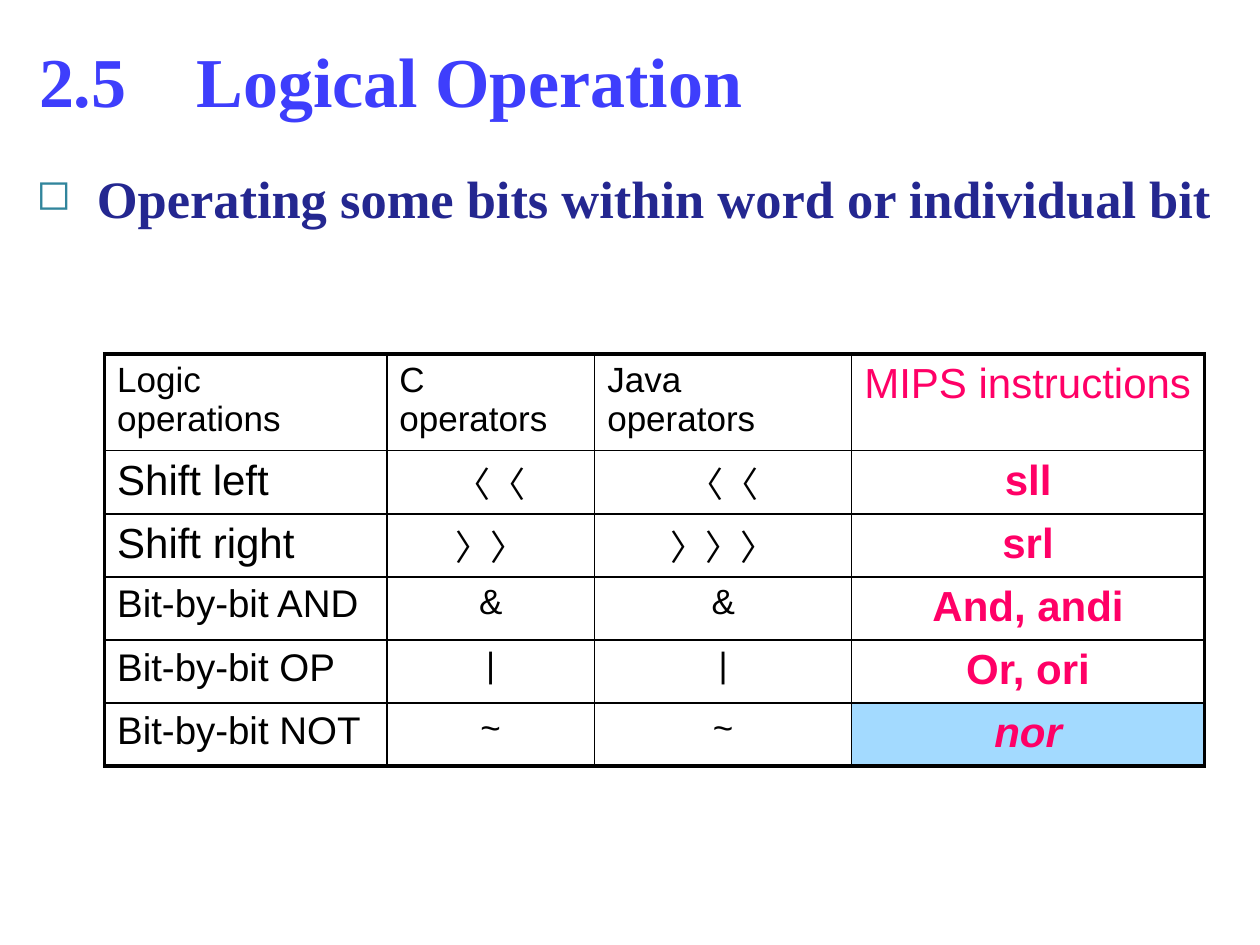
"""Build a slide comparing logical operators in C, Java and MIPS."""
from typing import NamedTuple

from lxml import etree
from pptx import Presentation
from pptx import util as u
from pptx.dml.color import RGBColor
from pptx.enum import text
from pptx.oxml import ns

COLORS = {
    "title": "3E3EFC", "statement": "242790", "bullet": "31859C",
    "ink": "000000", "mips": "FF0066", "highlight": "A3DAFF",
}
COLUMN_WIDTHS = (2.24, 1.65, 2.04, 2.8)
ROW_HEIGHTS = (0.72, 0.5, 0.5, 0.47, 0.5, 0.47)
THIN, THICK = 1, 2.25


class Operation(NamedTuple):
    """One row of the operator table."""
    label: str
    c: str
    java: str
    mips: str
    label_size: int = 22
    highlighted: bool = False


HEADINGS = Operation("Logic operations", "C operators", "Java operators",
                     "MIPS instructions", 20)
OPERATIONS = (
    Operation("Shift left", "〈〈", "〈〈", "sll", 24),
    Operation("Shift right", "〉〉", "〉〉〉", "srl", 24),
    Operation("Bit-by-bit AND", "&", "&", "And, andi"),
    Operation("Bit-by-bit OP", "|", "|", "Or, ori"),
    Operation("Bit-by-bit NOT", "~", "~", "nor", highlighted=True),
)


def add_xml(parent, tag: str, **attributes):
    """Append a DrawingML element and return it."""
    return etree.SubElement(parent, ns.qn(f"a:{tag}"), attributes)


def write(frame, words: str, color: str, align=text.PP_ALIGN.LEFT, **formats):
    """Write one formatted paragraph and return it."""
    paragraph = frame.paragraphs[0]
    paragraph.alignment = align
    run = paragraph.add_run()
    run.text = words
    run.font.color.rgb = RGBColor.from_string(COLORS[color])
    for attribute, value in formats.items():
        setattr(run.font, attribute, value)
    return paragraph


def place(shape, left: float, top: float, width: float, height: float) -> None:
    """Set the position and size of a shape in inches."""
    bounds = dict(left=left, top=top, width=width, height=height)
    for attribute, value in bounds.items():
        setattr(shape, attribute, u.Inches(value))


def add_title(slide) -> None:
    """Fill the title placeholder, with a tab after the section number."""
    title = slide.shapes.title
    place(title, 0.21, 0.21, 9.34, 0.84)
    title.text_frame.vertical_anchor = text.MSO_ANCHOR.MIDDLE
    heading = write(title.text_frame, "2.5\tLogical Operation", "title",
                    name="Times New Roman", size=u.Pt(40), bold=True)
    tabs = add_xml(heading._p.get_or_add_pPr(), "tabLst")
    add_xml(tabs, "tab", pos=str(u.Inches(1.25)), algn="l")


def add_statement(slide) -> None:
    """Add the bulleted statement under the title."""
    box = slide.shapes.add_textbox(*map(u.Inches, (0.19, 1.23, 9.69, 5.91)))
    frame = box.text_frame
    frame.word_wrap = True
    frame.margin_top = u.Inches(0.09)
    statement = write(
        frame, "Operating some bits within word or individual bit",
        "statement", name="Times New Roman", size=u.Pt(30), bold=True)
    properties = statement._p.get_or_add_pPr()
    indent = u.Inches(0.48)
    properties.set("marL", str(indent))
    properties.set("indent", str(-indent))
    bullet_color = add_xml(properties, "buClr")
    add_xml(bullet_color, "srgbClr", val=COLORS["bullet"])
    add_xml(properties, "buSzPct", val="80000")
    add_xml(properties, "buChar", char="◻")


def draw_borders(cell, row: int, column: int) -> None:
    """Draw thin inner and thick outer cell borders."""
    outer = {
        "L": column == 0, "R": column == len(COLUMN_WIDTHS) - 1,
        "T": row == 0, "B": row == len(ROW_HEIGHTS) - 1,
    }
    properties = cell._tc.get_or_add_tcPr()
    for side, is_outer in outer.items():
        width = u.Pt(THICK if is_outer else THIN)
        line = add_xml(properties, f"ln{side}", w=str(width))
        add_xml(add_xml(line, "solidFill"), "srgbClr", val=COLORS["ink"])


def fill_row(table, row: int, operation: Operation) -> None:
    """Write and format the cells of one table row."""
    sizes = (operation.label_size, 20, 20, 24)
    for column, (words, size) in enumerate(zip(operation[:4], sizes)):
        cell = table.cell(row, column)
        is_mips = column == 3
        marked = is_mips and operation.highlighted
        centered = row > 0 and column > 0
        write(cell.text_frame, words, "mips" if is_mips else "ink",
              text.PP_ALIGN.CENTER if centered else text.PP_ALIGN.LEFT,
              name="Arial", size=u.Pt(size), bold=is_mips and row > 0,
              italic=marked)
        draw_borders(cell, row, column)
        if marked:
            cell.fill.solid()
            cell.fill.fore_color.rgb = RGBColor.from_string(COLORS["highlight"])
        else:
            cell.fill.background()


def add_operator_table(slide) -> None:
    """Add the table of operators."""
    table = slide.shapes.add_table(
        len(ROW_HEIGHTS), len(COLUMN_WIDTHS), u.Inches(0.83), u.Inches(2.81),
        u.Inches(sum(COLUMN_WIDTHS)), u.Inches(sum(ROW_HEIGHTS))).table
    table.first_row = table.horz_banding = False
    for column, width in zip(table.columns, COLUMN_WIDTHS):
        column.width = u.Inches(width)
    for row, height in zip(table.rows, ROW_HEIGHTS):
        row.height = u.Inches(height)
    for row, operation in enumerate((HEADINGS, *OPERATIONS)):
        fill_row(table, row, operation)


def main() -> None:
    """Build and save the presentation."""
    deck = Presentation()
    deck.slide_width, deck.slide_height = u.Inches(10), u.Inches(7.5)
    slide = deck.slides.add_slide(deck.slide_layouts[5])
    add_title(slide)
    add_statement(slide)
    add_operator_table(slide)
    deck.save("out.pptx")


if __name__ == "__main__":
    main()
